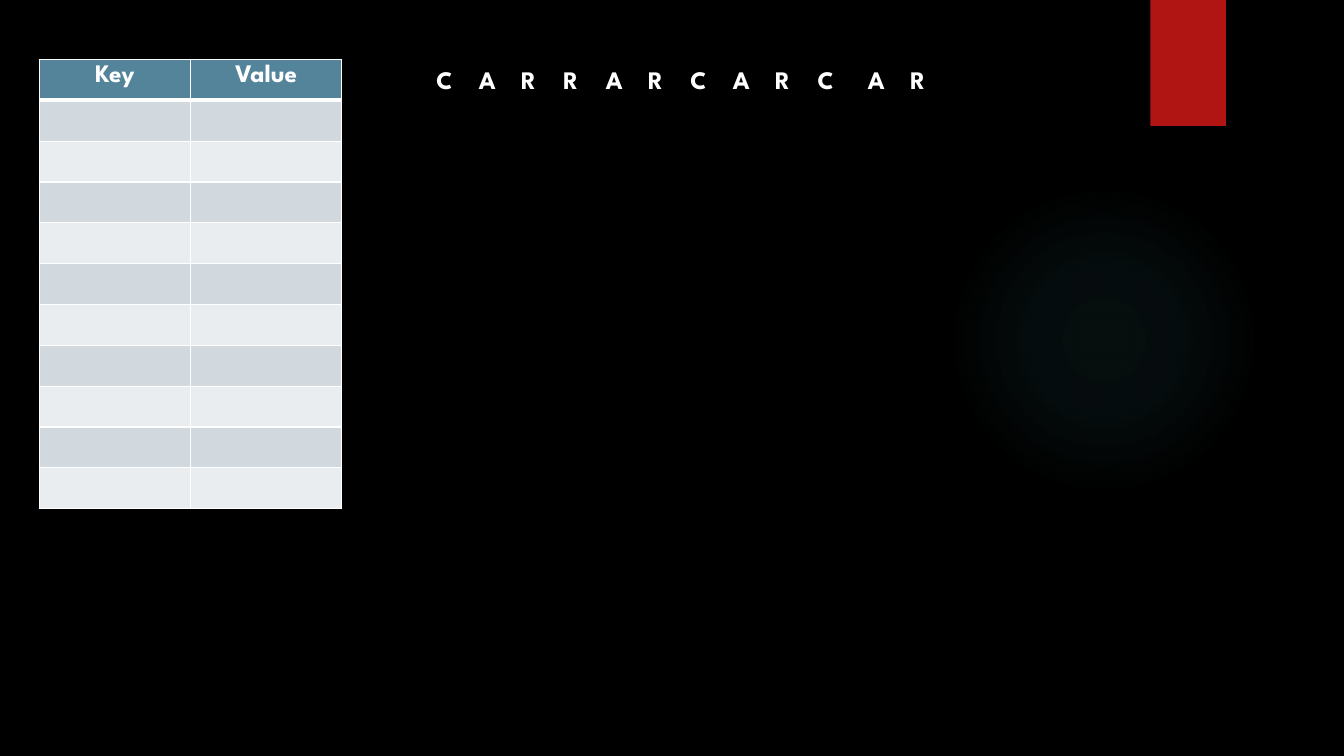
from dataclasses import dataclass

from lxml import etree
from pptx import Presentation
from pptx.dml.color import RGBColor
from pptx.enum.shapes import MSO_SHAPE
from pptx.enum.text import PP_ALIGN
from pptx.oxml import parse_xml
from pptx.oxml.ns import nsdecls, qn
from pptx.util import Inches, Pt

ELLIPSE = MSO_SHAPE.OVAL
RECTANGLE = MSO_SHAPE.RECTANGLE
CENTER = PP_ALIGN.CENTER
BLANK_LAYOUT = 6


@dataclass(frozen=True)
class Theme:
    """Colours and type of the slide."""
    background: str = "000000"
    glow: str = "50B9C1"
    ribbon: str = "B01513"
    header: str = "54849A"
    bands: tuple = ("D1D9DE", "E9EDEF")
    light: str = "FFFFFF"
    font: str = "League Spartan"
    size: int = 18


THEME = Theme()


def paint(fill, color):
    """Make a fill solid in the given colour."""
    fill.solid()
    fill.fore_color.rgb = RGBColor.from_string(color)


def style(paragraph):
    """Apply the bold light type to a paragraph."""
    font = paragraph.font
    font.name = THEME.font
    font.size = Pt(THEME.size)
    font.bold = True
    font.color.rgb = RGBColor.from_string(THEME.light)


def add_plain_shape(slide, kind, box):
    """Add a preset shape without line or shadow."""
    shape = slide.shapes.add_shape(kind, *map(Inches, box))
    shape.shadow.inherit = False
    shape.line.fill.background()
    return shape


def add_glow(slide, box):
    """Add the faint disc that fades out towards its edge."""
    glow = add_plain_shape(slide, ELLIPSE, box)
    paint(glow.fill, THEME.glow)
    stops = "".join(
        f'<a:gs pos="{position * 1000}"><a:srgbClr val="{THEME.glow}">'
        f'<a:alpha val="{opacity * 1000}"/></a:srgbClr></a:gs>'
        for position, opacity in ((0, 7), (36, 6), (69, 0)))
    gradient = parse_xml(
        f'<a:gradFill {nsdecls("a")}><a:gsLst>{stops}</a:gsLst>'
        '<a:path path="circle"><a:fillToRect l="50000" t="50000" '
        'r="50000" b="50000"/></a:path></a:gradFill>')
    properties = glow.element.spPr
    properties.replace(properties.find(qn("a:solidFill")), gradient)


def add_ribbon(slide, box):
    """Add the red ribbon that hangs from the top edge."""
    paint(add_plain_shape(slide, RECTANGLE, box).fill, THEME.ribbon)


def add_letters(slide, box, groups, pitch, extra_gap):
    """Set letters on even tab stops, with a wider gap between groups."""
    frame = slide.shapes.add_textbox(*map(Inches, box)).text_frame
    frame.word_wrap = True
    line = frame.paragraphs[0]
    line.text = "\t".join("".join(groups))
    style(line)
    tabs = etree.SubElement(line._p.get_or_add_pPr(), qn("a:tabLst"))
    line._p.pPr.insert(0, tabs)
    offsets = [index * pitch + group * extra_gap
               for index, group in enumerate(
                   group for group, word in enumerate(groups) for _ in word)]
    for offset in offsets[1:]:
        etree.SubElement(tabs, qn("a:tab"), pos=str(Inches(offset)), algn="l")


def set_borders(cell, bottom_width):
    """Draw light borders around a cell."""
    properties = cell._tc.get_or_add_tcPr()
    widths = {"lnL": 1, "lnR": 1, "lnT": 1, "lnB": bottom_width}
    for index, (side, width) in enumerate(widths.items()):
        properties.insert(index, parse_xml(
            f'<a:{side} {nsdecls("a")} w="{Pt(width)}"><a:solidFill>'
            f'<a:srgbClr val="{THEME.light}"/></a:solidFill></a:{side}>'))


def add_key_table(slide, box, headings, empty_rows):
    """Add the table of headings above banded empty rows."""
    table = slide.shapes.add_table(
        empty_rows + 1, len(headings), *map(Inches, box)).table
    for index, row in enumerate(table.rows):
        is_header = index == 0
        color = THEME.header if is_header else THEME.bands[(index - 1) % 2]
        for cell, heading in zip(row.cells, headings):
            paint(cell.fill, color)
            # The rule under the header is shared with the first row.
            set_borders(cell, 3 if is_header else 1)
            if is_header:
                cell.text = heading
                label = cell.text_frame.paragraphs[0]
                label.alignment = CENTER
                style(label)


def build_hash_slide(deck):
    """Build the slide with the empty table and the row of letters."""
    slide = deck.slides.add_slide(deck.slide_layouts[BLANK_LAYOUT])
    paint(slide.background.fill, THEME.background)
    add_glow(slide, (9.41, 1.83, 3.08, 3.08))
    add_ribbon(slide, (11.41, 0, 0.75, 1.25))
    add_letters(slide, (4.23, 0.59, 6.82, 0.4),
                ("CARRARCARC", "AR"), pitch=0.42, extra_gap=0.08)
    add_key_table(slide, (0.39, 0.59, 3, 4.46), ("Key", "Value"), 10)


def main():
    """Create the deck and save it."""
    deck = Presentation()
    deck.slide_width = Inches(13.33)
    deck.slide_height = Inches(7.5)
    build_hash_slide(deck)
    deck.save("out.pptx")


main()
